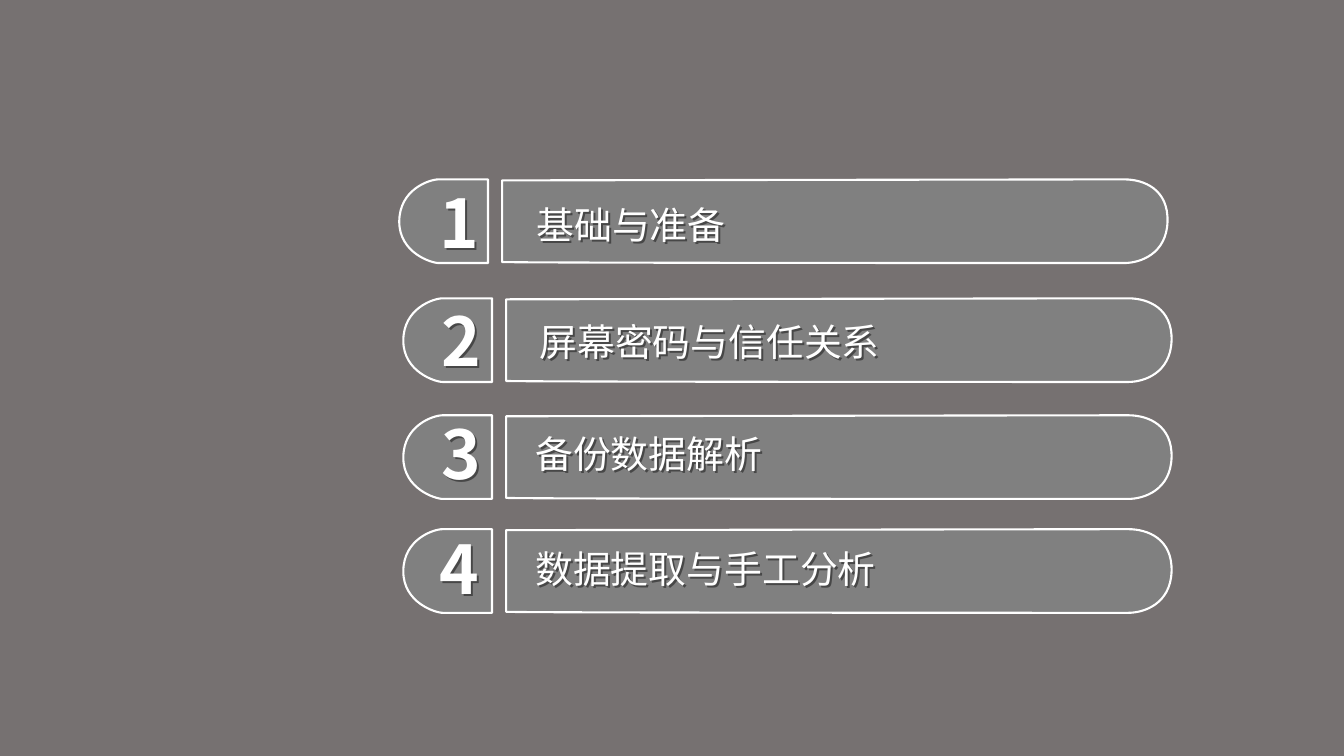
from lxml import etree
from pptx import Presentation
from pptx.dml.color import RGBColor
from pptx.enum.text import MSO_AUTO_SIZE, PP_ALIGN
from pptx.oxml import parse_xml
from pptx.oxml.ns import qn
from pptx.util import Inches, Pt

BACK = RGBColor(0x76, 0x71, 0x71)
GREY = RGBColor(0x80, 0x80, 0x80)
WHITE = RGBColor(0xFF, 0xFF, 0xFF)
FONT = "Noto Sans CJK SC"
FIT = MSO_AUTO_SIZE.SHAPE_TO_FIT_TEXT
LEFT, CENTER = PP_ALIGN.LEFT, PP_ALIGN.CENTER
SHADOW = (
    '<a:effectLst xmlns:a="http://schemas.openxmlformats.org/drawingml/2006/main">'
    '<a:outerShdw dist="25400" dir="2700000" algn="tl" rotWithShape="0">'
    '<a:srgbClr val="000000"><a:alpha val="43000"/></a:srgbClr>'
    '</a:outerShdw></a:effectLst>'
)

# Outlines start with one point; then one point is a line, three a curve
BAR = [[(0, 0.01)], [(0, 0.82)],
       [(0.22, 0.83), (6, 0.83), (6.17, 0.83)],
       [(6.33, 0.83), (6.59, 0.74), (6.6, 0.42)],
       [(6.61, 0.1), (6.37, 0), (6.17, 0)],
       [(5.96, 0), (0.22, 0.01), (0, 0.01)]]
TAB = [[(0.88, 0)],
       [(0.88, 0.41), (0.88, 0.83), (0.88, 0.83)],
       [(0.39, 0.83)],
       [(0.32, 0.83), (0, 0.73), (0, 0.42)],
       [(0, 0.1), (0.3, 0), (0.39, 0)],
       [(0.88, 0)]]

# Shape left and top, number left and top, label, its left, top and width
ROWS = [
    (3.96, 1.78, 4.26, 1.75, "基础与准备", 5.19, 1.93, 5.22),
    (4, 2.96, 4.28, 2.92, "屏幕密码与信任关系", 5.22, 3.09, 6.09),
    (4, 4.12, 4.28, 4.04, "备份数据解析", 5.18, 4.2, 6.73),
    (4, 5.25, 4.26, 5.18, "数据提取与手工分析", 5.18, 5.34, 5.22),
]


def add_pill(left, top, outline):
    """Draw the outline's end points, then bend the curved parts."""
    parts = [[(Inches(left + x), Inches(top + y)) for x, y in part]
             for part in outline]
    pen = slide.shapes.build_freeform(*parts[0][0])
    pen.add_line_segments([part[-1] for part in parts[1:]], close=True)
    pill = pen.convert_to_shape()
    lines = list(pill._element.iter(qn("a:lnTo")))
    for line, part in zip(lines, parts[1:]):
        if len(part) == 3:
            curve = etree.Element(qn("a:cubicBezTo"))
            for x, y in part:
                etree.SubElement(curve, qn("a:pt"),
                                 x=str(x - pill.left), y=str(y - pill.top))
            line.getparent().replace(line, curve)
    pill.shadow.inherit = False
    pill.fill.solid()
    pill.fill.fore_color.rgb = GREY
    pill.line.color.rgb = WHITE
    pill.line.width = Pt(1.5)


def add_label(text, box, pads, align, style):
    label = slide.shapes.add_textbox(*map(Inches, box))
    label._element.spPr.append(parse_xml(SHADOW))
    frame = label.text_frame
    frame.word_wrap = True
    frame.auto_size = FIT
    for side, pad in zip(("left", "top", "right", "bottom"), pads * 2):
        setattr(frame, f"margin_{side}", Inches(pad))
    para = frame.paragraphs[0]
    para.alignment = align
    run = para.add_run()
    run.text = text
    run.font.color.rgb = WHITE
    for name, value in style.items():
        setattr(run.font, name, value)
    latin = run._r.rPr.find(qn("a:latin"))
    latin.addnext(etree.Element(qn("a:ea"), typeface=FONT))


deck = Presentation()
deck.slide_width, deck.slide_height = Inches(13.33), Inches(7.5)
slide = deck.slides.add_slide(deck.slide_layouts[6])
slide.background.fill.solid()
slide.background.fill.fore_color.rgb = BACK

digit = {"name": FONT, "size": Pt(48), "bold": True}
plain = {"name": FONT, "size": Pt(27)}
for num, (left, top, num_x, num_y, text, x, y, width) in enumerate(ROWS, 1):
    add_pill(left + 1.02, top, BAR)
    add_pill(left, top, TAB)
    add_label(str(num), (num_x, num_y, 0.44, 0.94), (0.1, 0.05), CENTER, digit)
    add_label(text, (x, y, width, 0.58), (0.13, 0.07), LEFT, plain)

deck.save("out.pptx")
